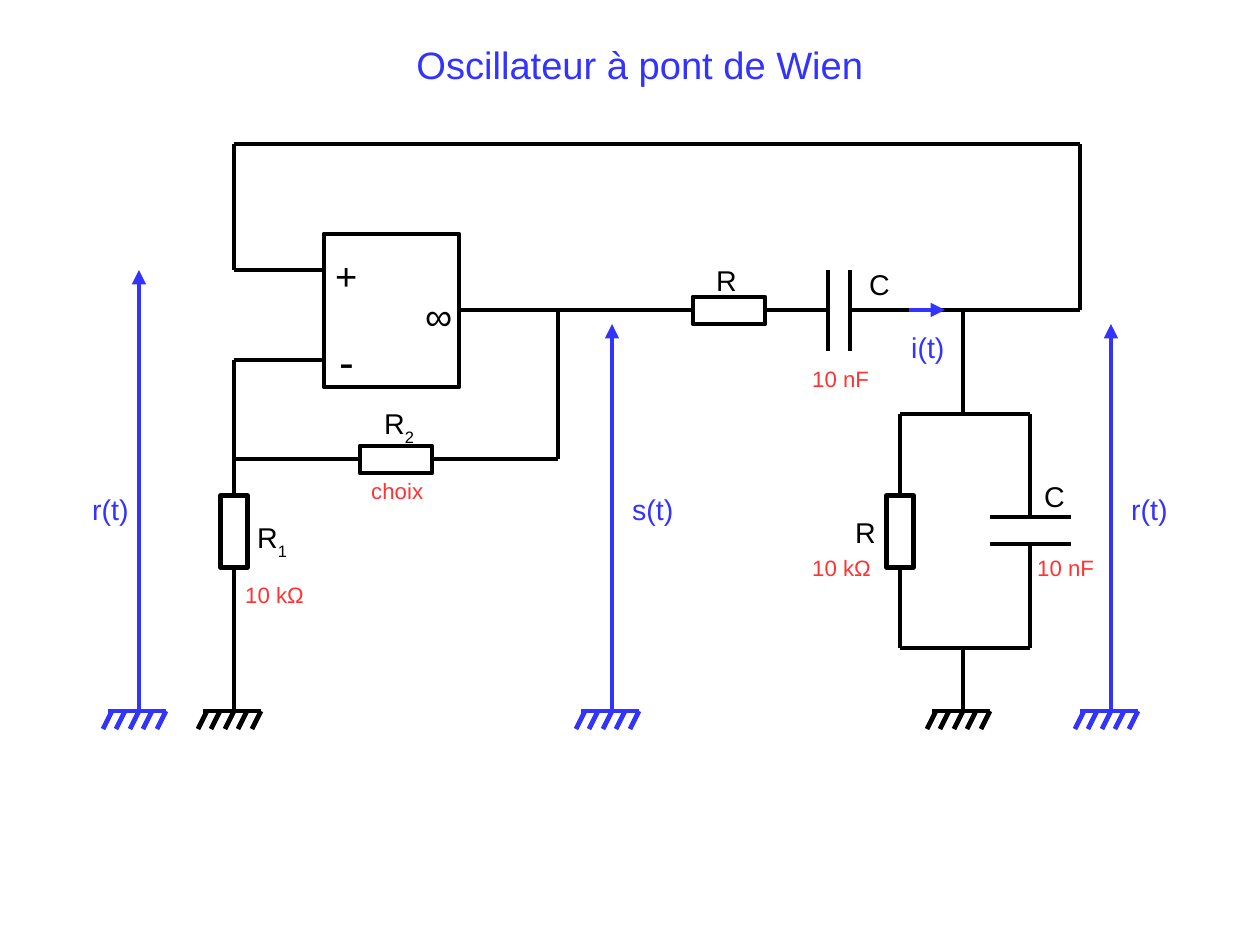
"""Draw the Wien bridge oscillator schematic on one slide."""
import itertools

import pptx
import pptx.dml.color
import pptx.enum.shapes
import pptx.enum.text
import pptx.oxml.ns
import pptx.util
from lxml import etree

BLACK = pptx.dml.color.RGBColor(0x00, 0x00, 0x00)
WHITE = pptx.dml.color.RGBColor(0xFF, 0xFF, 0xFF)
BLUE = pptx.dml.color.RGBColor(0x33, 0x33, 0xFF)
RED = pptx.dml.color.RGBColor(0xFF, 0x33, 0x33)
PX = 8000
GROUND_Y = 711


def write(frame, text, size=18, color=BLACK, subscript=""):
    """Put text, with an optional subscript, into a top-left text frame."""
    frame.word_wrap = True
    frame.vertical_anchor = pptx.enum.text.MSO_ANCHOR.TOP
    frame.auto_size = pptx.enum.text.MSO_AUTO_SIZE.SHAPE_TO_FIT_TEXT
    paragraph = frame.paragraphs[0]
    paragraph.alignment = pptx.enum.text.PP_ALIGN.LEFT
    for part, baseline in ((text, 0), (subscript, -33000)):
        if part:
            run = paragraph.add_run()
            run.text = part
            run.font.name = "Arial"
            run.font.size = pptx.util.Pt(size)
            run.font.color.rgb = color
            if baseline:
                run.font._element.set("baseline", str(baseline))


class Schematic:
    """Hold the slide and the line style, and draw circuit parts in px."""

    def __init__(self, slide, line_width=3):
        self.slide = slide
        self.line_width = pptx.util.Pt(line_width)

    def title(self, text, left, top, width, height):
        """Place and format the title placeholder."""
        title = self.slide.shapes.title
        title.left, title.top = left * PX, top * PX
        title.width, title.height = width * PX, height * PX
        write(title.text_frame, text, size=24, color=BLUE)

    def label(self, text, left, top, width, height, **style):
        """Add a text label."""
        box = self.slide.shapes.add_textbox(left * PX, top * PX, width * PX, height * PX)
        write(box.text_frame, text, **style)

    def block(self, left, top, width=72, height=27, rotation=0):
        """Add an outlined component body, resistor-sized by default."""
        body = self.slide.shapes.add_shape(
            pptx.enum.shapes.MSO_SHAPE.RECTANGLE,
            left * PX, top * PX, width * PX, height * PX)
        body.rotation = rotation
        body.shadow.inherit = False
        body.fill.solid()
        body.fill.fore_color.rgb = WHITE
        body.line.color.rgb = BLACK
        body.line.width = self.line_width

    def wire(self, *points, color=BLACK, arrow=False):
        """Join successive points with straight lines."""
        for (x1, y1), (x2, y2) in itertools.pairwise(points):
            segment = self.slide.shapes.add_connector(
                pptx.enum.shapes.MSO_CONNECTOR.STRAIGHT,
                x1 * PX, y1 * PX, x2 * PX, y2 * PX)
            segment.line.color.rgb = color
            segment.line.width = self.line_width
            properties = segment._element.spPr
            etree.SubElement(properties, pptx.oxml.ns.qn("a:effectLst"))
            if arrow:
                outline = properties.find(pptx.oxml.ns.qn("a:ln"))
                etree.SubElement(outline, pptx.oxml.ns.qn("a:tailEnd"), type="triangle")

    def ground(self, x, color=BLACK):
        """Draw a ground symbol under x."""
        self.wire((x - 31, GROUND_Y), (x + 27, GROUND_Y), color=color)
        for step in range(-2, 3):
            top_x = x + step * 27 // 2
            self.wire((top_x - 9, GROUND_Y + 18), (top_x, GROUND_Y), color=color)

    def voltage(self, x, tip_y):
        """Draw a voltage arrow rising from its own ground."""
        self.wire((x, GROUND_Y), (x, tip_y), color=BLUE, arrow=True)
        self.ground(x, color=BLUE)


def main():
    """Build and save the slide."""
    deck = pptx.Presentation()
    deck.slide_width, deck.slide_height = 1260 * PX, 945 * PX
    schematic = Schematic(deck.slides.add_slide(deck.slide_layouts[5]))
    schematic.title("Oscillateur à pont de Wien", 405, 36, 477, 54)

    schematic.block(324, 234, 135, 153)
    for left, top, rotation in ((693, 297, 0), (360, 446, 0), (864, 518, 270), (198, 518, 270)):
        schematic.block(left, top, rotation=rotation)

    feedback = ((324, 270), (234, 270), (234, 144), (1080, 144), (1080, 310), (963, 310), (850, 310))
    inverting_input = ((324, 360), (234, 360), (234, 495))
    parallel_top = ((900, 495), (900, 414), (1030, 414), (1030, 517))
    parallel_bottom = ((900, 567), (900, 648), (1030, 648), (1030, 544))
    for route in (
        feedback, inverting_input, parallel_top, parallel_bottom,
        ((459, 310), (693, 310)),
        ((765, 310), (828, 310)),
        ((963, 414), (963, 310)),
        ((558, 310), (558, 459), (432, 459)),
        ((360, 459), (234, 459)),
        ((234, GROUND_Y), (234, 567)),
        ((963, GROUND_Y), (963, 648)),
    ):
        schematic.wire(*route)
    for plate_x in (828, 850):
        schematic.wire((plate_x, 270), (plate_x, 351))
    for plate_y in (517, 544):
        schematic.wire((990, plate_y), (1071, plate_y))

    for ground_x in (234, 963):
        schematic.ground(ground_x)
    for voltage_x, tip_y in ((612, 324), (1111, 324), (139, 270)):
        schematic.voltage(voltage_x, tip_y)
    schematic.wire((909, 310), (945, 310), color=BLUE, arrow=True)

    schematic.label("+", 324, 247, 58, 63, size=24)
    schematic.label("-", 328, 328, 45, 61, size=28)
    schematic.label("∞", 414, 287, 45, 54, size=24)
    for signal, left, top, width in (("s(t)", 621, 486, 90), ("r(t)", 1120, 486, 90),
                                     ("r(t)", 81, 486, 90), ("i(t)", 900, 324, 63)):
        schematic.label(signal, left, top, width, 43, color=BLUE)
    for symbol, index, left, top, height in (
        ("C", "", 858, 261, 43), ("C", "", 1033, 473, 43), ("R", "", 844, 509, 43),
        ("R", "", 705, 257, 43), ("R", "2", 373, 400, 50), ("R", "1", 246, 514, 50),
    ):
        schematic.label(symbol, left, top, 63, height, subscript=index)
    for rating, left, top, width in (
        ("10 nF", 801, 360, 81), ("10 nF", 1026, 549, 81), ("10 kΩ", 801, 549, 90),
        ("10 kΩ", 234, 576, 90), ("choix", 360, 472, 81),
    ):
        schematic.label(rating, left, top, width, 36, size=14, color=RED)

    deck.save("out.pptx")


if __name__ == "__main__":
    main()
